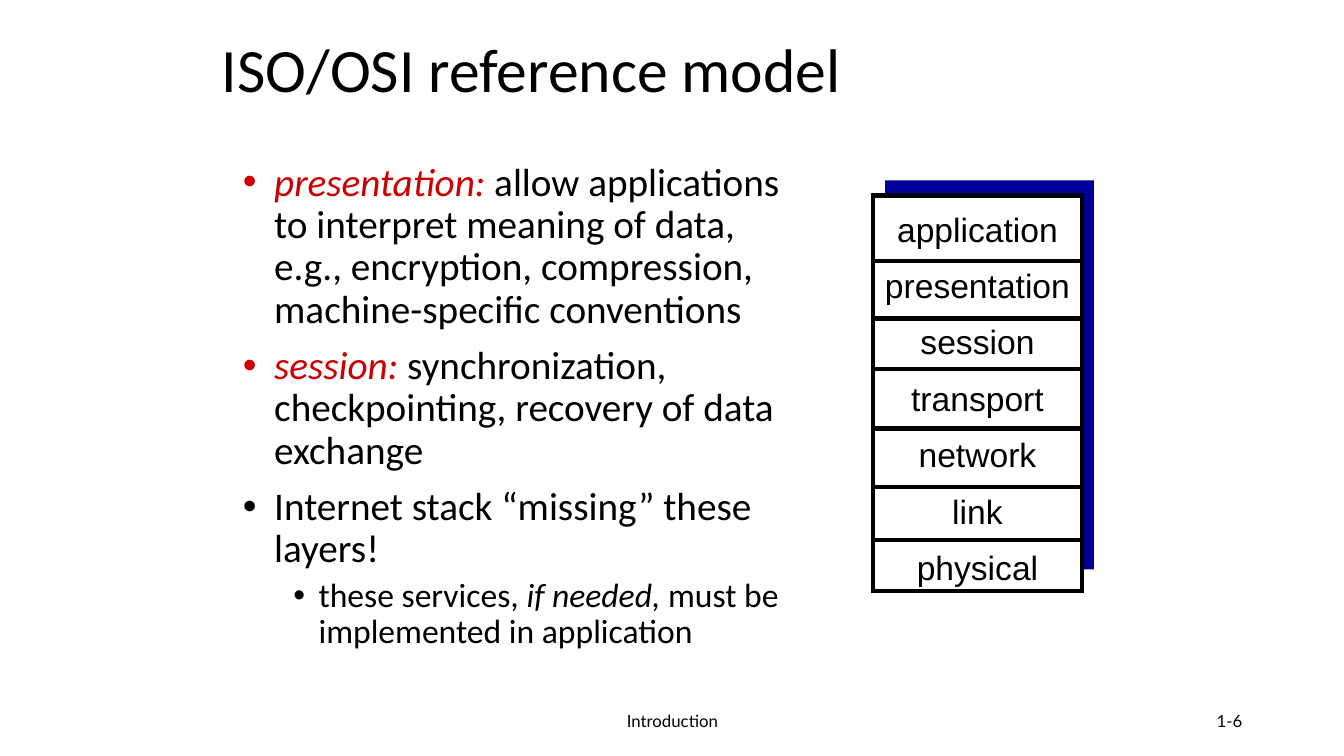
from lxml import etree
from pptx import Presentation
from pptx.dml.color import RGBColor
from pptx.enum import shapes, text
from pptx.oxml import ns
from pptx.util import Inches, Pt

BLACK = RGBColor(0, 0, 0)
WHITE = RGBColor(255, 255, 255)
RED = RGBColor(0xCC, 0, 0)
NAVY = RGBColor(0, 0, 0x99)
ALIGN = text.PP_ALIGN

TITLE = "ISO/OSI reference model"
# level, runs of (words, italic, colour)
POINTS = [
    (0, [("presentation:", True, RED),
         (" allow applications to interpret meaning of data, e.g., encryption, "
          "compression, machine-specific conventions", False, BLACK)]),
    (0, [("session:", True, RED),
         (" synchronization, checkpointing, recovery of data exchange", False, BLACK)]),
    (0, [("Internet stack “missing” these layers!", False, BLACK)]),
    (1, [("these services, ", False, BLACK), ("if needed,", True, BLACK),
         (" must be implemented in application", False, BLACK)]),
]
# size, space before, left margin, hanging indent
LEVELS = [(28, 10, 0.31, 0.31), (24, 5, 0.75, 0.25)]
LAYERS = ["application", "presentation", "session", "transport",
          "network", "link", "physical"]
# heights of the rules between layers
RULES = [2.59, 3.16, 3.66, 4.25, 4.83, 5.36]
FOOT = [("Introduction", 4.42, 4.5, ALIGN.CENTER), ("1-6", 9.42, 3, ALIGN.RIGHT)]

deck = Presentation()
deck.slide_width, deck.slide_height = Inches(13.33), Inches(7.5)
slide = deck.slides.add_slide(deck.slide_layouts[1])
parts = slide.shapes


def place(shape, *box):
    shape.left, shape.top, shape.width, shape.height = map(Inches, box)


def style(para, size, face, align=ALIGN.LEFT, color=BLACK):
    para.alignment = align
    para.font.size, para.font.name = Pt(size), face
    para.font.color.rgb = color


def bullet(para, left, hang):
    props = para._p.get_or_add_pPr()
    props.set("marL", str(Inches(left)))
    props.set("indent", str(-Inches(hang)))
    etree.SubElement(props, ns.qn("a:buFont")).set("typeface", "Arial")
    etree.SubElement(props, ns.qn("a:buChar")).set("char", "•")


def panel(color, *box):
    rect = parts.add_shape(shapes.MSO_SHAPE.RECTANGLE, *map(Inches, box))
    rect.shadow.inherit = False
    rect.fill.solid()
    rect.fill.fore_color.rgb = color
    rect.line.fill.background()
    return rect


def label(*box):
    frame = parts.add_textbox(*map(Inches, box)).text_frame
    frame.word_wrap = True
    return frame


title = parts.title
place(title, 2.1, 0.09, 7.11, 1.25)
title.text_frame.text = TITLE
title.text_frame.auto_size = text.MSO_AUTO_SIZE.NONE
title.text_frame.vertical_anchor = text.MSO_ANCHOR.MIDDLE
head = title.text_frame.paragraphs[0]
head.line_spacing = 0.9
style(head, 44, "Calibri")

body = slide.placeholders[1]
place(body, 2.31, 1.56, 5.64, 5.08)
frame = body.text_frame
frame.auto_size = text.MSO_AUTO_SIZE.NONE
for i, (level, runs) in enumerate(POINTS):
    para = frame.add_paragraph() if i else frame.paragraphs[0]
    size, gap, left, hang = LEVELS[level]
    para.level = level
    bullet(para, left, hang)
    para.line_spacing = 0.9
    para.space_before = Pt(gap if i else 0)
    style(para, size, "Calibri")
    for words, slant, color in runs:
        run = para.add_run()
        run.text = words
        run.font.italic = slant
        run.font.color.rgb = color

panel(NAVY, 8.78, 1.79, 2.07, 3.86)
stack = panel(WHITE, 8.66, 1.94, 2.07, 3.92)
stack.line.color.rgb = BLACK
stack.line.width = Pt(3)
edge = stack._element.spPr.find(ns.qn("a:ln"))
etree.SubElement(edge, ns.qn("a:miter")).set("lim", "800000")

frame = label(8.61, 2.13, 2.17, 3.78)
for i, layer in enumerate(LAYERS):
    para = frame.add_paragraph() if i else frame.paragraphs[0]
    para.text = layer
    para.line_spacing = 0.7
    para.space_before = Pt(20.1 if i else 0)
    style(para, 24, "Arial", ALIGN.CENTER)

for top in RULES:
    rule = parts.add_connector(shapes.MSO_CONNECTOR.STRAIGHT, Inches(8.65),
                               Inches(top), Inches(10.71), Inches(top))
    rule.line.color.rgb = BLACK
    rule.line.width = Pt(3)
    etree.SubElement(rule._element.spPr, ns.qn("a:effectLst"))

for words, left, width, align in FOOT:
    frame = label(left, 6.95, width, 0.4)
    frame.vertical_anchor = text.MSO_ANCHOR.MIDDLE
    frame.text = words
    style(frame.paragraphs[0], 12, "Lato", align)

deck.save("out.pptx")
